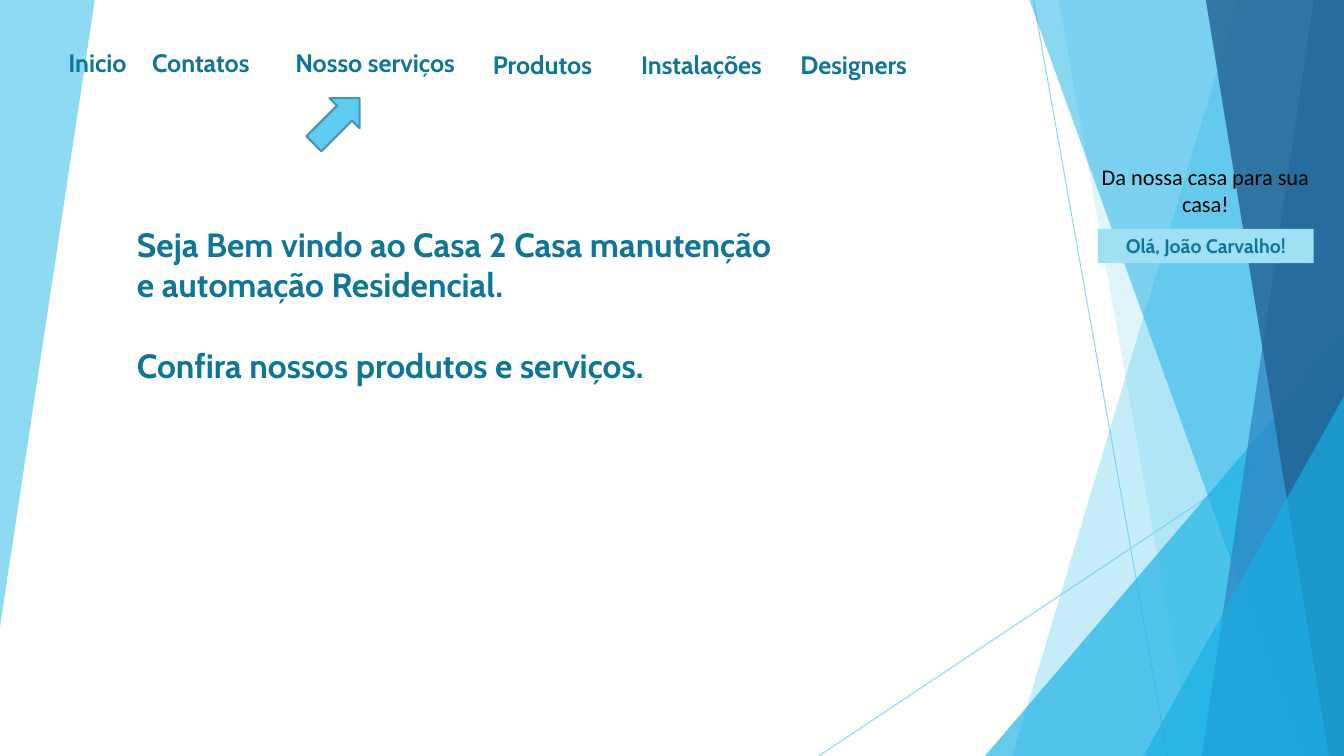
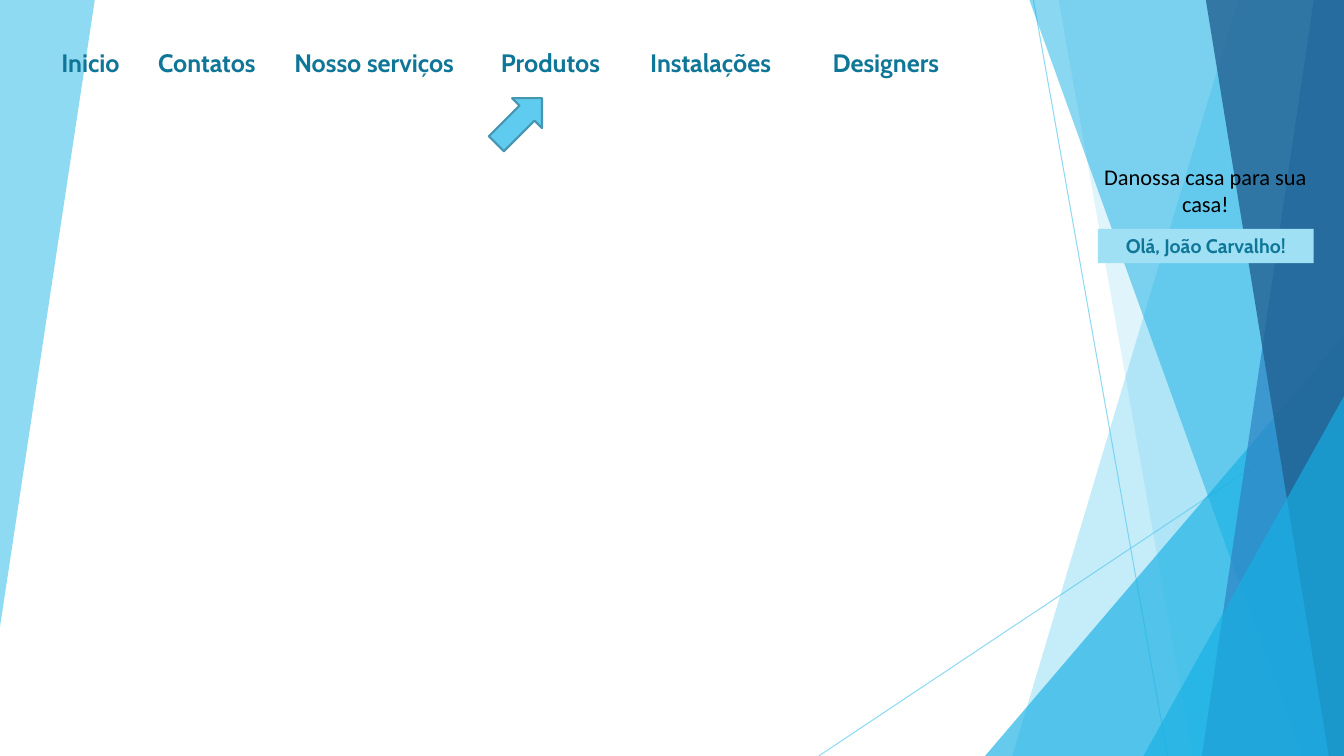
from dataclasses import dataclass

from lxml import etree
from pptx import Presentation
from pptx.dml.color import RGBColor
from pptx.enum.shapes import MSO_CONNECTOR, MSO_SHAPE
from pptx.enum.text import MSO_ANCHOR, MSO_AUTO_SIZE, PP_ALIGN
from pptx.oxml.ns import qn
from pptx.util import Inches, Pt

STRAIGHT = MSO_CONNECTOR.STRAIGHT
RECTANGLE = MSO_SHAPE.RECTANGLE
TRIANGLE = MSO_SHAPE.ISOSCELES_TRIANGLE
ARROW = MSO_SHAPE.RIGHT_ARROW
LEFT = PP_ALIGN.LEFT
CENTER = PP_ALIGN.CENTER
TOP = MSO_ANCHOR.TOP
MIDDLE = MSO_ANCHOR.MIDDLE
GROW = MSO_AUTO_SIZE.SHAPE_TO_FIT_TEXT


@dataclass(frozen=True)
class Theme:
    sky: str = "5FCBEF"
    cyan: str = "17B0E4"
    blue: str = "2E83C3"
    navy: str = "226292"
    pale: str = "9FE0F5"
    outline: str = "4696B1"
    heading: str = "0F7698"
    black: str = "000000"
    heading_font: str = "Cabin"
    plain_font: str = "Calibri"
    menu_size: int = 18
    welcome_size: int = 24
    slogan_size: int = 16
    greeting_size: int = 14


@dataclass(frozen=True)
class Box:
    left: float
    top: float
    width: float
    height: float

    def inside(self, left, top, width, height):
        return Box(self.left + left, self.top + top, width, height)

    def point(self, x, y):
        return Inches(self.left + x), Inches(self.top + y)

    def lengths(self):
        return [Inches(n) for n in (self.left, self.top, self.width, self.height)]


THEME = Theme()
PAGE = Box(0, 0, 13.33, 7.5)
MENU = Box(0.5, 0.42, 9.2, 1)
WELCOME = Box(1.26, 2.17, 6.58, 2.12)
SIDEBAR = Box(10.8, 1.57, 2.31, 1.04)
MENU_LABELS = ("Inicio", "Contatos", "Nosso serviços", "Produtos", "Instalações", "Designers")
HOME_MENU = (
    (0.08, 0, 1.13), (0.91, 0, 1.47), (2.33, 0, 2.01),
    (4.29, 0.02, 1.38), (5.76, 0.02, 1.58), (7.34, 0.02, 1.46),
)
PRODUCTS_MENU = (
    (0.01, 0, 1.13), (0.97, 0, 1.47), (2.32, 0, 2.01),
    (4.37, 0, 1.32), (5.85, 0, 1.62), (7.66, 0, 1.46),
)


def set_alpha(shape, percent):
    for color in shape.element.spPr.iter(qn("a:srgbClr")):
        etree.SubElement(color, qn("a:alpha"), val=str(percent * 1000))


def paint(shape, color, alpha=None, outline=None):
    shape.shadow.inherit = False
    shape.fill.solid()
    shape.fill.fore_color.rgb = RGBColor.from_string(color)
    if outline:
        shape.line.color.rgb = RGBColor.from_string(outline)
        shape.line.width = Pt(1.5)
    else:
        shape.line.fill.background()
    if alpha:
        set_alpha(shape, alpha)


def write(shape, *texts, size=THEME.menu_size, font=THEME.heading_font,
          color=THEME.heading, bold=True, align=LEFT, anchor=TOP, gap=0):
    frame = shape.text_frame
    frame.word_wrap = True
    frame.auto_size = GROW
    frame.vertical_anchor = anchor
    for index, text in enumerate(texts):
        para = frame.add_paragraph() if index else frame.paragraphs[0]
        para.alignment = align
        if index:
            para.space_before = Pt(gap)
        span = para.add_run()
        span.text = text
        span.font.size = Pt(size)
        span.font.name = font
        span.font.bold = bold
        span.font.color.rgb = RGBColor.from_string(color)


def add_text(slide, box, *texts, **style):
    write(slide.shapes.add_textbox(*box.lengths()), *texts, **style)


def add_panel(slide, box, corners, color, alpha):
    points = [box.point(x, y) for x, y in corners]
    builder = slide.shapes.build_freeform(*points[0], scale=1.0)
    builder.add_line_segments(points[1:], close=True)
    paint(builder.convert_to_shape(), color, alpha)


def add_band(slide, box, top_x, bottom_x, color, alpha):
    corners = ((top_x, 0), (box.width, 0), (box.width, box.height), (bottom_x, box.height))
    add_panel(slide, box, corners, color, alpha)


def add_corner(slide, box, width, height):
    corner = box.inside(box.width - width, box.height - height, width, height)
    triangle = slide.shapes.add_shape(TRIANGLE, *corner.lengths())
    triangle.adjustments[0] = 1.0
    paint(triangle, THEME.cyan, 66)


def add_ray(slide, box, start, end):
    ray = slide.shapes.add_connector(STRAIGHT, *box.point(*start), *box.point(*end))
    ray.line.color.rgb = RGBColor.from_string(THEME.sky)
    ray.line.width = Pt(0.75)
    set_alpha(ray, 70)
    etree.SubElement(ray.element.spPr, qn("a:effectLst"))


def add_backdrop(slide, box):
    add_panel(slide, box, ((0, 0), (0.94, 0), (0, 6.22)), THEME.sky, 70)
    add_ray(slide, box, (10.25, 0), (11.58, box.height))
    add_ray(slide, box, (box.width, 4.03), (8.12, box.height))
    add_band(slide, box, 12.28, 10.04, THEME.sky, 36)
    add_band(slide, box, 10.5, 11.83, THEME.sky, 20)
    add_corner(slide, box, 3.56, 4.17)
    add_band(slide, box, 10.21, 12.91, THEME.cyan, 50)
    add_band(slide, box, 13.03, 11.92, THEME.blue, 70)
    add_band(slide, box, 11.96, 13.18, THEME.navy, 80)
    add_corner(slide, box, 1.99, 3.57)


def add_menu(slide, box, places, arrow_left):
    for label, (left, top, width) in zip(MENU_LABELS, places):
        add_text(slide, box.inside(left, top, width, 0.4), label)
    pointer = slide.shapes.add_shape(ARROW, *box.inside(arrow_left, 0.57, 0.64, 0.42).lengths())
    pointer.rotation = 315
    paint(pointer, THEME.sky, outline=THEME.outline)


def add_sidebar(slide, box, slogan):
    add_text(slide, box.inside(0, 0, box.width, 0.64), slogan, size=THEME.slogan_size,
             font=THEME.plain_font, color=THEME.black, bold=False, align=CENTER)
    greeting = slide.shapes.add_shape(RECTANGLE, *box.inside(0.09, 0.7, 2.14, 0.34).lengths())
    paint(greeting, THEME.pale)
    write(greeting, "Olá, João Carvalho!", size=THEME.greeting_size, align=CENTER, anchor=MIDDLE)


def add_welcome(slide, box):
    add_text(slide, box,
             "Seja Bem vindo ao Casa 2 Casa manutenção e automação Residencial.",
             "Confira nossos produtos e serviços.",
             size=THEME.welcome_size, gap=29)


def add_page(deck, places, arrow_left, slogan):
    slide = deck.slides.add_slide(deck.slide_layouts.get_by_name("Blank"))
    add_backdrop(slide, PAGE)
    add_menu(slide, MENU, places, arrow_left)
    add_sidebar(slide, SIDEBAR, slogan)
    return slide


def main():
    deck = Presentation()
    deck.slide_width = Inches(PAGE.width)
    deck.slide_height = Inches(PAGE.height)
    home = add_page(deck, HOME_MENU, 2.52, "Da nossa casa para sua casa!")
    add_welcome(home, WELCOME)
    add_page(deck, PRODUCTS_MENU, 4.33, "Danossa casa para sua casa!")
    deck.save("out.pptx")


if __name__ == "__main__":
    main()
